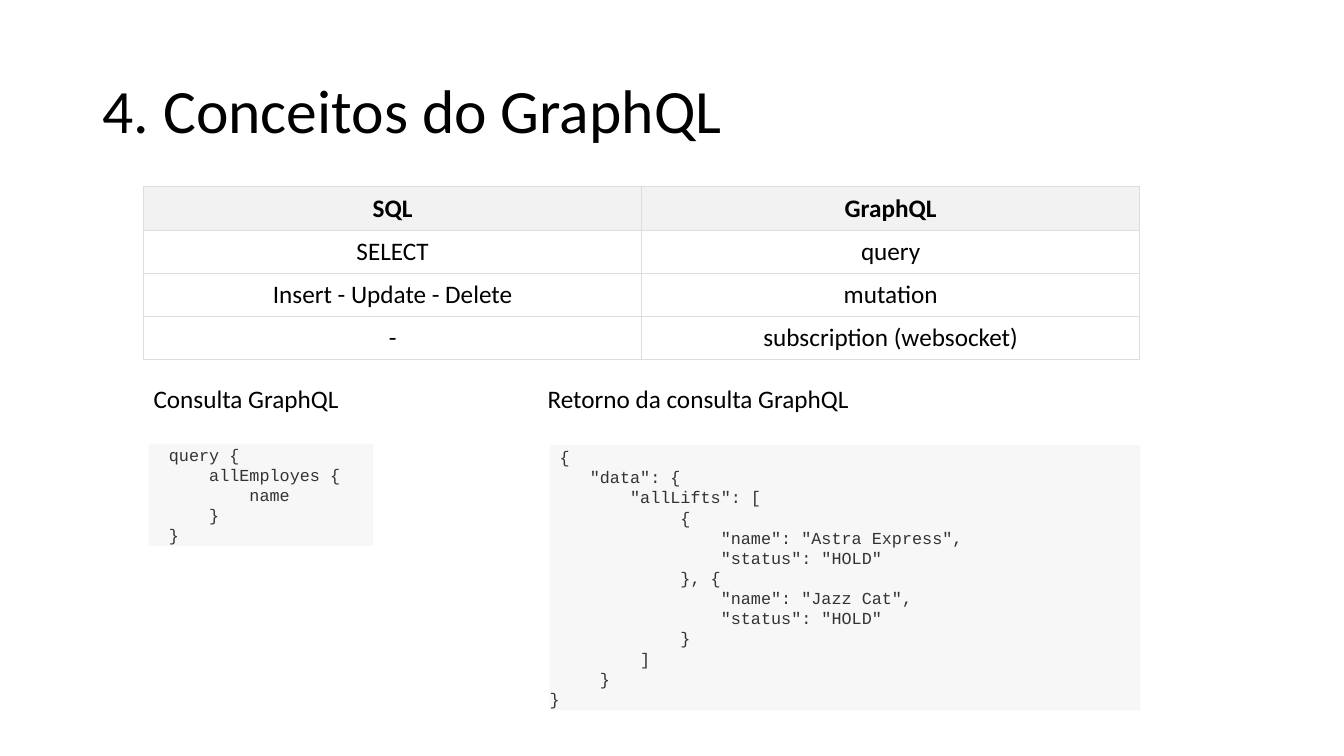
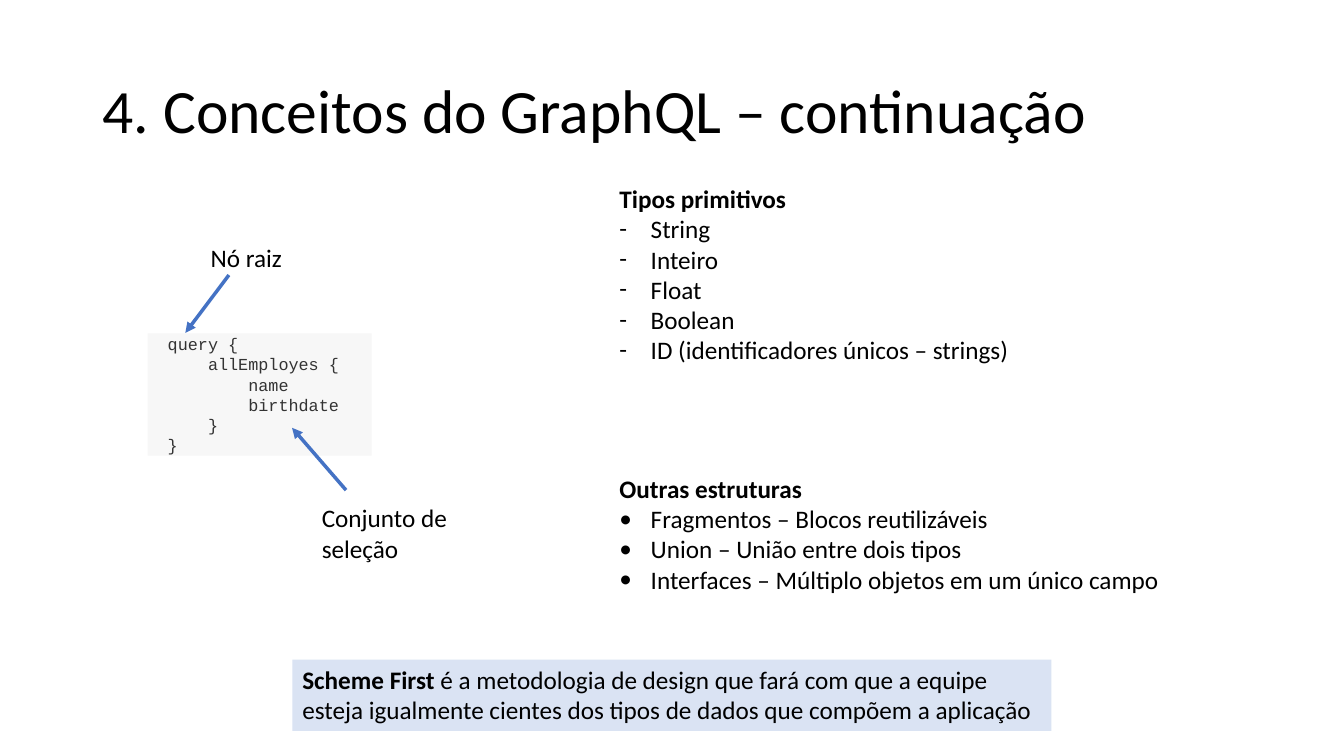
from lxml import etree
from pptx import Presentation
from pptx import util as u
from pptx.dml.color import RGBColor
from pptx.enum import shapes, text
from pptx.oxml import ns

COLORS = {
    "text": "000000",
    "code": "333333",
    "code_bg": "F7F7F7",
    "header": "F2F2F2",
    "cell": "FFFFFF",
    "border": "DDDDDD",
    "arrow": "4472C4",
    "note": "DAE3F3",
}


def color(name):
    return RGBColor.from_string(COLORS[name])


def sub(parent, tag, **attributes):
    return etree.SubElement(parent, ns.qn(tag), attributes)


class Deck:
    """Shared style and the slide being built; lengths in centimetres."""

    BODY, CODE = "Calibri", "Courier New"
    INDENT = 0.79

    def __init__(self):
        self.prs = Presentation()
        self.prs.slide_width = u.Cm(33.87)
        self.prs.slide_height = u.Cm(19.05)
        self.slide = None

    def new_slide(self, title):
        self.slide = self.prs.slides.add_slide(self.prs.slide_layouts[6])
        box = self.slide.shapes.add_textbox(*map(u.Cm, (2.34, 1.02, 29.21, 3.68)))
        frame = box.text_frame
        frame.word_wrap = True
        frame.vertical_anchor = text.MSO_ANCHOR.MIDDLE
        self.fill_text(frame, [title], size=44)
        frame.paragraphs[0].line_spacing = 0.9

    def fill_text(self, frame, lines, size=18, font=BODY, fill="text", bold=""):
        """One paragraph a line; a line's opening words equal to bold are bold."""
        for i, line in enumerate(lines):
            paragraph = frame.add_paragraph() if i else frame.paragraphs[0]
            paragraph.alignment = text.PP_ALIGN.LEFT
            if bold and line.startswith(bold) and line != bold:
                paragraph.add_run().text = bold
                paragraph.add_run().text = line[len(bold):]
            else:
                paragraph.text = line
            for run in paragraph.runs:
                run.font.size = u.Pt(size)
                run.font.name = font
                run.font.color.rgb = color(fill)
                run.font.bold = run.text == bold

    def label(self, at, lines, bold=""):
        frame = self.slide.shapes.add_textbox(*map(u.Cm, at)).text_frame
        frame.word_wrap = False
        frame.auto_size = text.MSO_AUTO_SIZE.SHAPE_TO_FIT_TEXT
        self.fill_text(frame, lines, bold=bold)
        return frame

    def bullets(self, at, heading, items, mark):
        frame = self.label(at, [heading, *items], bold=heading)
        indent = u.Cm(self.INDENT)
        for paragraph in frame.paragraphs[1:]:
            props = paragraph._p.get_or_add_pPr()
            props.set("marL", str(indent))
            props.set("indent", str(-indent))
            sub(props, "a:buFont", typeface=self.BODY)
            sub(props, "a:buChar", char=mark)

    def panel(self, at, fill):
        box = self.slide.shapes.add_shape(
            shapes.MSO_SHAPE.RECTANGLE, *map(u.Cm, at))
        box.shadow.inherit = False
        box.fill.solid()
        box.fill.fore_color.rgb = color(fill)
        box.line.fill.background()
        box.text_frame.auto_size = text.MSO_AUTO_SIZE.SHAPE_TO_FIT_TEXT
        return box.text_frame

    def code(self, at, source):
        frame = self.panel(at, "code_bg")
        frame.word_wrap = True
        frame.vertical_anchor = text.MSO_ANCHOR.MIDDLE
        frame.margin_left = frame.margin_right = 0
        frame.margin_top = frame.margin_bottom = 0
        self.fill_text(frame, source.split("\n"), 12, self.CODE, "code")

    def note(self, at, lines, bold):
        frame = self.panel(at, "note")
        frame.word_wrap = False
        frame.vertical_anchor = text.MSO_ANCHOR.TOP
        self.fill_text(frame, lines, bold=bold)

    def arrow(self, *ends):
        arrow = self.slide.shapes.add_connector(
            shapes.MSO_CONNECTOR.STRAIGHT, *map(u.Cm, ends))
        arrow.line.color.rgb = color("arrow")
        arrow.line.width = u.Pt(2.5)
        sub(arrow.line._get_or_add_ln(), "a:tailEnd", type="triangle")
        sub(arrow._element.spPr, "a:effectLst")

    def table(self, left, top, column_width, row_height, rows):
        columns = len(rows[0])
        table = self.slide.shapes.add_table(
            len(rows), columns, u.Cm(left), u.Cm(top),
            u.Cm(column_width * columns), u.Cm(row_height * len(rows))).table
        table.horz_banding = False
        for r, row in enumerate(rows):
            for c, value in enumerate(row):
                self.cell(table.cell(r, c), value, header=r == 0)

    def cell(self, cell, value, header):
        cell.margin_left = cell.margin_right = u.Cm(0.36)
        cell.margin_top = cell.margin_bottom = u.Cm(0.15)
        cell.vertical_anchor = text.MSO_ANCHOR.MIDDLE
        self.fill_text(cell.text_frame, [value], bold=value if header else "")
        cell.text_frame.paragraphs[0].alignment = text.PP_ALIGN.CENTER
        props = cell._tc.get_or_add_tcPr()
        for side in "LRTB":
            border = sub(props, f"a:ln{side}", w=str(u.Pt(0.75)))
            sub(sub(border, "a:solidFill"), "a:srgbClr", val=COLORS["border"])
        cell.fill.solid()
        cell.fill.fore_color.rgb = color("header" if header else "cell")


QUERY = """  query {
      allEmployes {
          name
      }
  }"""

QUERY_WITH_BIRTHDATE = """  query {
      allEmployes {
          name
          birthdate
      }
  }"""

RESPONSE = """ {
    "data": {
        "allLifts": [
             {
                 "name": "Astra Express",
                 "status": "HOLD"
             }, {
                 "name": "Jazz Cat",
                 "status": "HOLD"
             }
         ]
     }
}"""


def concepts(deck):
    deck.new_slide("4. Conceitos do GraphQL")
    # SQL and GraphQL operations side by side
    deck.table(3.62, 4.71, 12.55, 1.09, [
        ("SQL", "GraphQL"),
        ("SELECT", "query"),
        ("Insert - Update - Delete", "mutation"),
        ("-", "subscription (websocket)"),
    ])
    # Query and its response
    deck.label((3.62, 9.53, 5.23, 1.03), ["Consulta GraphQL"])
    deck.code((3.75, 11.18, 5.65, 2.57), QUERY)
    deck.label((13.55, 9.53, 8.17, 1.03), ["Retorno da consulta GraphQL"])
    deck.code((13.85, 11.22, 14.89, 6.68), RESPONSE)


def concepts_continued(deck):
    deck.new_slide("4. Conceitos do GraphQL – continuação")
    # Annotated query
    deck.code((3.72, 8.4, 5.65, 3.08), QUERY_WITH_BIRTHDATE)
    deck.arrow(5.77, 6.93, 4.67, 8.39)
    deck.arrow(8.72, 12.35, 7.36, 10.78)
    deck.label((5.06, 5.97, 2.33, 1.03), ["Nó raiz"])
    deck.label((7.86, 12.54, 3.7, 1.8), ["Conjunto de\nseleção"])
    # Types and other structures
    deck.bullets((15.36, 4.5, 10.43, 4.87), "Tipos primitivos", [
        "String",
        "Inteiro",
        "Float",
        "Boolean",
        "ID (identificadores únicos – strings)",
    ], "-")
    deck.bullets((15.36, 11.8, 14.27, 3.33), "Outras estruturas", [
        "Fragmentos – Blocos reutilizáveis",
        "Union – União entre dois tipos",
        "Interfaces – Múltiplo objetos em um único campo",
    ], "•")
    # Design method
    deck.note((7.37, 16.62, 19.13, 1.8), [
        "Scheme First é a metodologia de design que fará com que a equipe",
        "esteja igualmente cientes dos tipos de dados que compõem a aplicação",
    ], bold="Scheme First ")


def main():
    deck = Deck()
    concepts(deck)
    concepts_continued(deck)
    deck.prs.save("out.pptx")


if __name__ == "__main__":
    main()
